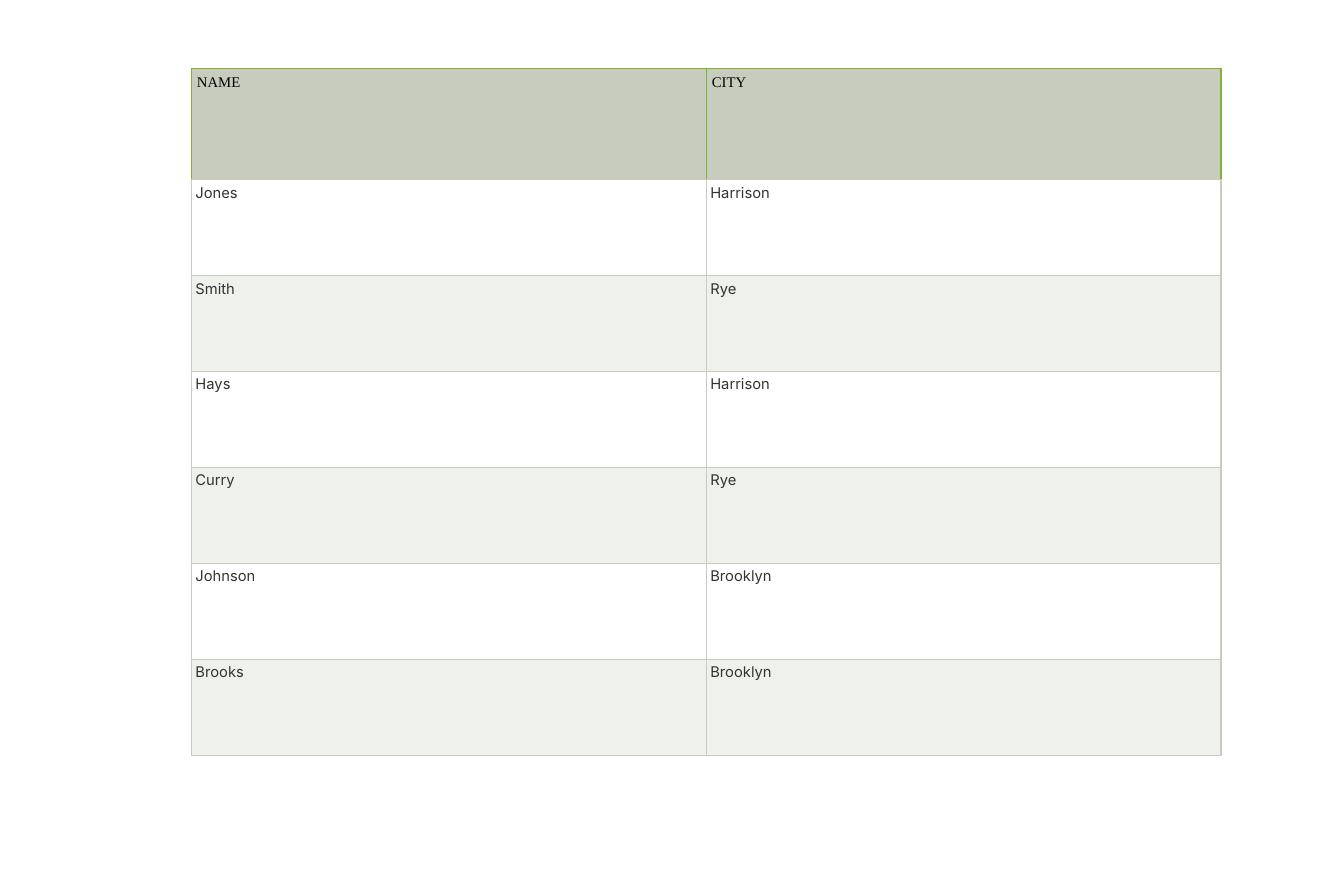
import pptx
import pptx.util
import pptx.dml.color
import pptx.enum.text
import lxml.etree

Pt = pptx.util.Pt
RGBColor = pptx.dml.color.RGBColor
ALIGN = pptx.enum.text.PP_ALIGN

SAGE = RGBColor(0xC7, 0xCC, 0xBE)
GREEN = RGBColor(0x80, 0xB3, 0x32)
PALE = RGBColor(0xEF, 0xF1, 0xEB)
WHITE = RGBColor(0xFF, 0xFF, 0xFF)
BLACK = RGBColor(0x00, 0x00, 0x00)
GREY = RGBColor(0x33, 0x33, 0x33)
NS = "http://schemas.openxmlformats.org/drawingml/2006/main"

HEADS = ("NAME", "CITY")
PEOPLE = (
    ("Jones", "Harrison"),
    ("Smith", "Rye"),
    ("Hays", "Harrison"),
    ("Curry", "Rye"),
    ("Johnson", "Brooklyn"),
    ("Brooks", "Brooklyn"),
)


def add_edge(cell, side, color):
    """Draw one border of a cell; call in the order L, R, T, B."""
    props = cell._tc.get_or_add_tcPr()
    line = lxml.etree.SubElement(props, f"{{{NS}}}ln{side}", w=str(Pt(0.75)))
    fill = lxml.etree.SubElement(line, f"{{{NS}}}solidFill")
    lxml.etree.SubElement(fill, f"{{{NS}}}srgbClr", val=str(color))


def set_cell(cell, text, font, ink, fill, edge, inset, align):
    """Write and style one cell."""
    for side in "LRT":
        add_edge(cell, side, edge)
    add_edge(cell, "B", SAGE)
    cell.fill.solid()
    cell.fill.fore_color.rgb = fill
    cell.margin_left = cell.margin_right = Pt(inset)
    cell.margin_top = cell.margin_bottom = Pt(inset)
    cell.text = text
    para = cell.text_frame.paragraphs[0]
    para.alignment = align
    para.font.name = font
    para.font.size = Pt(9)
    para.font.color.rgb = ink


def add_people(slide):
    """Build the table of names and cities."""
    frame = slide.shapes.add_table(
        len(PEOPLE) + 1, len(HEADS), Pt(117), Pt(42), Pt(630), Pt(420))
    table = frame.table
    table.first_row = False
    table.horz_banding = False
    for col in table.columns:
        col.width = Pt(315)
    for num, row in enumerate(table.rows):
        row.height = Pt(58.7 if num else 67.8)
    for col, head in enumerate(HEADS):
        set_cell(table.cell(0, col), head, "Times New Roman", BLACK,
                 SAGE, GREEN, 3.5, ALIGN.LEFT)
    for num, person in enumerate(PEOPLE, 1):
        fill = WHITE if num % 2 else PALE
        for col, text in enumerate(person):
            set_cell(table.cell(num, col), text, "Inter", GREY,
                     fill, SAGE, 2.6, ALIGN.JUSTIFY)


def main():
    """Make the slide and save it."""
    deck = pptx.Presentation()
    deck.slide_width = Pt(822.24)
    deck.slide_height = Pt(540)
    slide = deck.slides.add_slide(deck.slide_layouts[6])
    add_people(slide)
    deck.save("out.pptx")


if __name__ == "__main__":
    main()
